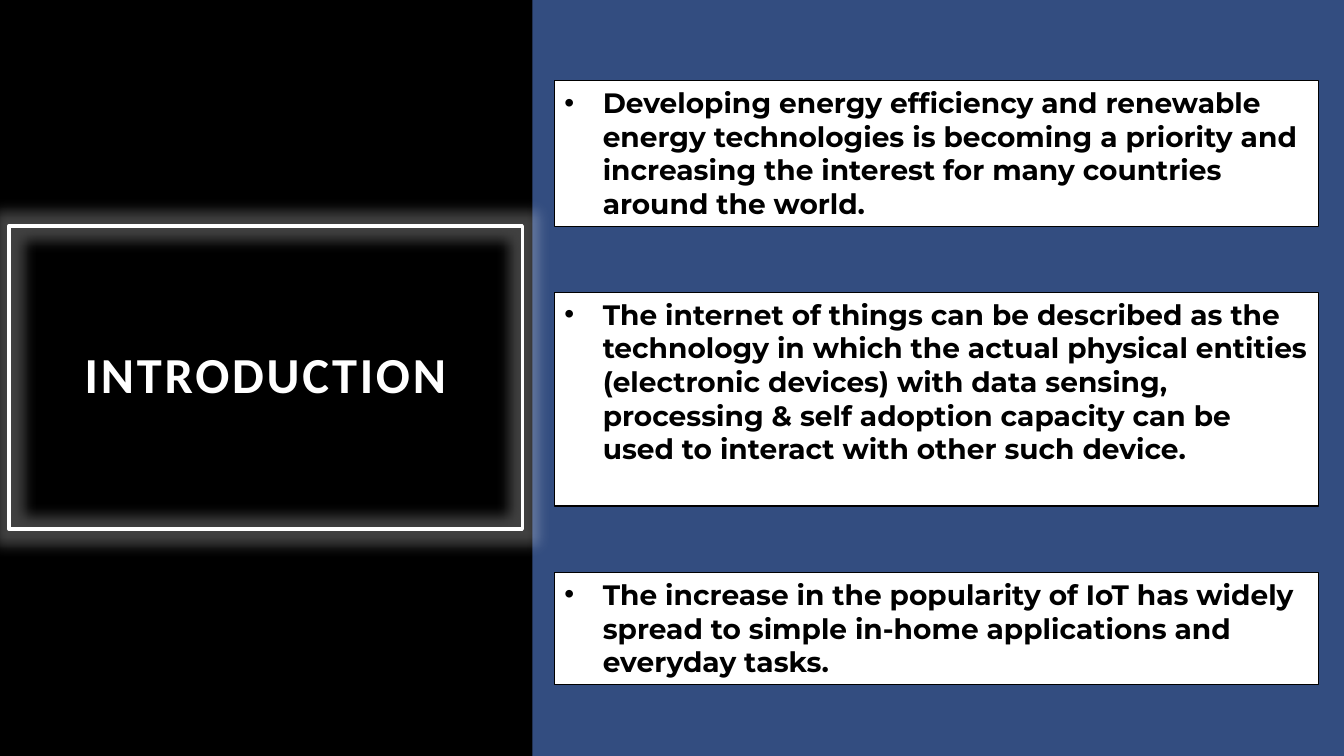
import pptx
import pptx.dml.color
import pptx.enum.shapes
import pptx.enum.text
import pptx.oxml
import pptx.oxml.ns
import pptx.util
from pptx.util import Inches, Pt

COLORS = {"background": "334D80", "panel": "000000", "frame": "FFFFFF",
          "card": "FFFFFF", "ink": "000000"}
CARD_LEFT, CARD_WIDTH = 5.5, 7.58
# Top, height and text of each card
CARDS = [
    (0.8, 1.45, "Developing energy efficiency and renewable energy technologies is becoming "
                "a priority and increasing the interest for many countries around the world."),
    (2.9, 2.12, "The internet of things can be described as the technology in which the actual "
                "physical entities (electronic devices) with data sensing, processing & self "
                "adoption capacity can be used to interact with other such device."),
    (5.68, 1.11, "The increase in the popularity of IoT has widely spread to simple in-home "
                 "applications and everyday tasks."),
]


def color(name):
    return pptx.dml.color.RGBColor.from_string(COLORS[name])


def set_font(paragraph, name, size, ink):
    font = paragraph.font
    font.name, font.size, font.bold = name, Pt(size), True
    font.color.rgb = color(ink)


def add_rectangle(page, left, top, width, height, fill):
    shape = page.shapes.add_shape(pptx.enum.shapes.MSO_SHAPE.RECTANGLE, Inches(left),
                                  Inches(top), Inches(width), Inches(height))
    shape.shadow.inherit = False
    shape.fill.solid()
    shape.fill.fore_color.rgb = color(fill)
    return shape


def add_glow(shape, radius, opacity):
    shape.shadow.inherit = False
    effects = shape._element.spPr.find(pptx.oxml.ns.qn("a:effectLst"))
    effects.append(pptx.oxml.parse_xml(
        f'<a:glow {pptx.oxml.ns.nsdecls("a")} rad="{Pt(radius)}">'
        f'<a:srgbClr val="{COLORS["frame"]}"><a:alpha val="{opacity * 1000}"/></a:srgbClr>'
        '</a:glow>'))


def build_title_panel(page, left, top, width, height):
    panel = add_rectangle(page, left, top, width, height, "panel")
    panel.line.fill.background()

    # Glowing frame holding the title, in front of the panel
    title = page.shapes.title
    panel._element.addnext(title._element)
    title.left, title.top = Inches(left + 0.09), Inches(top + 2.24)
    title.width, title.height = Inches(width - 0.19), Inches(3.01)
    title.fill.background()
    title.line.color.rgb = color("frame")
    title.line.width = Pt(2.5)
    add_glow(title, radius=18, opacity=25)

    frame = title.text_frame
    frame.text = "INTRODUCTION"
    frame.word_wrap = True
    frame.auto_size = pptx.enum.text.MSO_AUTO_SIZE.NONE
    frame.vertical_anchor = pptx.enum.text.MSO_ANCHOR.MIDDLE
    frame.margin_left = frame.margin_right = Inches(0.2)
    frame.margin_top = frame.margin_bottom = Inches(0.2)
    para = frame.paragraphs[0]
    para.alignment = pptx.enum.text.PP_ALIGN.CENTER
    para.line_spacing = 0.9
    set_font(para, "Calibri", 36, "frame")
    para.runs[0].font._element.set("spc", "200")


def build_card(page, left, top, width, height, text):
    card = add_rectangle(page, left, top, width, height, "card")
    card.line.color.rgb = color("ink")
    card.line.width = Pt(1)
    frame = card.text_frame
    frame.word_wrap = True
    frame.vertical_anchor = pptx.enum.text.MSO_ANCHOR.TOP
    frame.text = text
    para = frame.paragraphs[0]
    para.alignment = pptx.enum.text.PP_ALIGN.LEFT

    # Bullet with a hanging indent
    properties = para._element.get_or_add_pPr()
    properties.set("marL", str(Inches(0.38)))
    properties.set("indent", str(-Inches(0.38)))
    namespace = pptx.oxml.ns.nsdecls("a")
    properties.append(pptx.oxml.parse_xml(f'<a:buFont {namespace} typeface="Arial"/>'))
    properties.append(pptx.oxml.parse_xml(f'<a:buChar {namespace} char="•"/>'))
    set_font(para, "Montserrat", 20, "ink")


def main():
    deck = pptx.Presentation()
    deck.slide_width, deck.slide_height = Inches(13.33), Inches(7.5)
    page = deck.slides.add_slide(deck.slide_layouts.get_by_name("Title Only"))
    page.background.fill.solid()
    page.background.fill.fore_color.rgb = color("background")
    build_title_panel(page, 0, 0, 5.28, 7.5)
    for top, height, text in CARDS:
        build_card(page, CARD_LEFT, top, CARD_WIDTH, height, text)
    deck.save("out.pptx")


if __name__ == "__main__":
    main()
